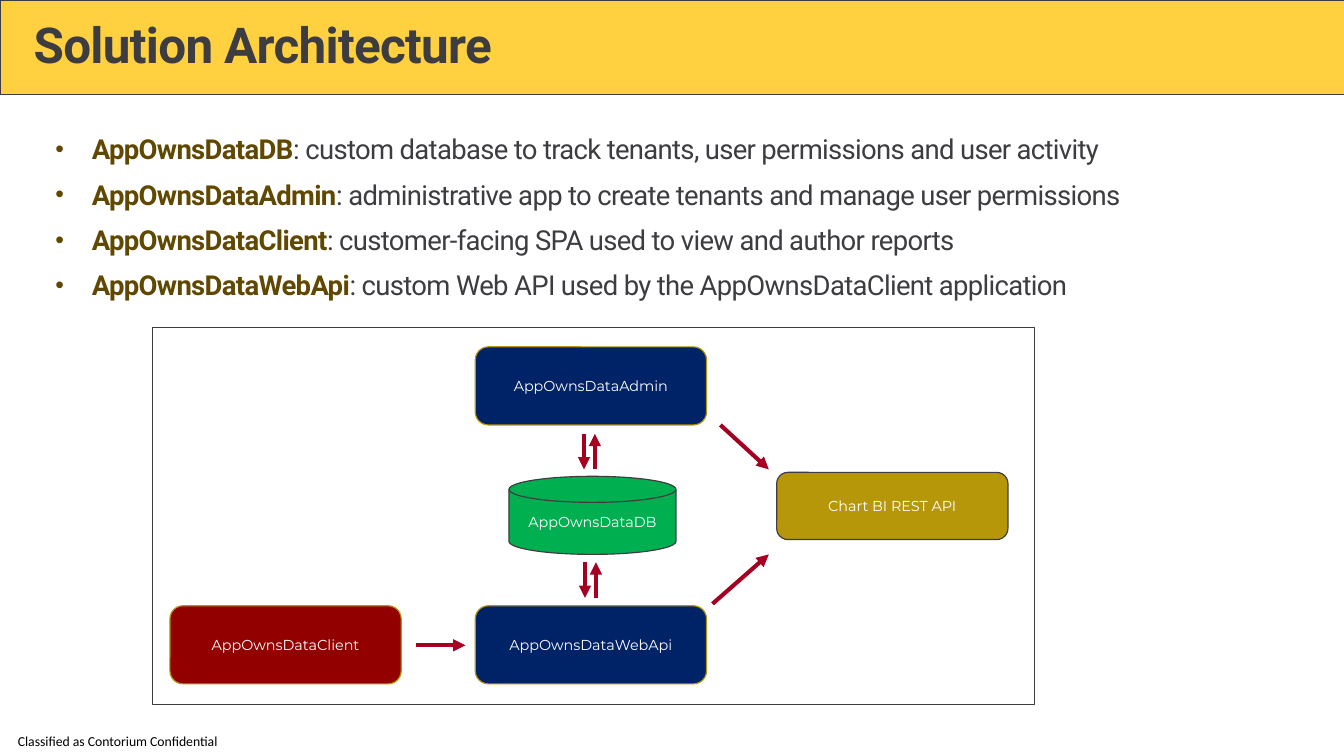
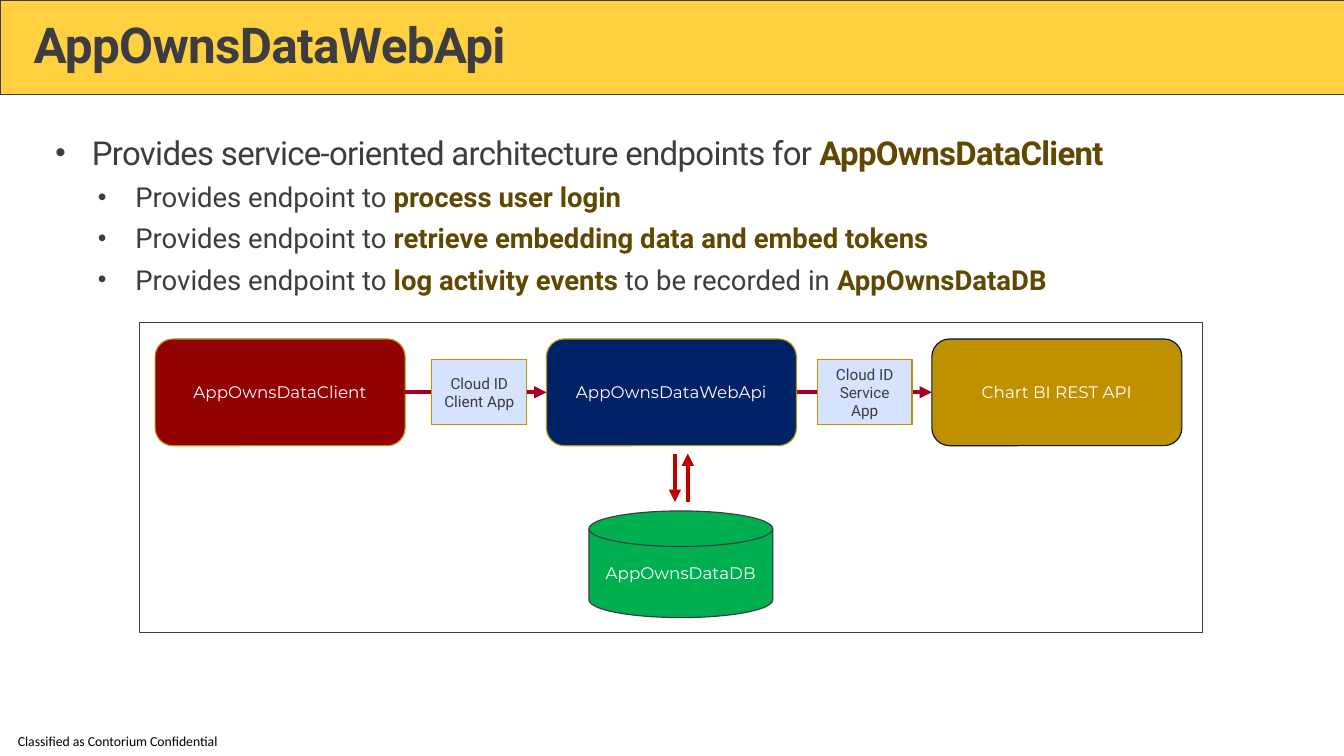
from lxml import etree
from pptx import Presentation
from pptx.dml.color import RGBColor
from pptx.enum.shapes import MSO_CONNECTOR, MSO_SHAPE
from pptx.enum.text import MSO_ANCHOR, PP_ALIGN
from pptx.oxml.ns import qn
from pptx.util import Inches, Pt

RECT = MSO_SHAPE.RECTANGLE
ROUND = MSO_SHAPE.ROUNDED_RECTANGLE
DISK = MSO_SHAPE.FLOWCHART_MAGNETIC_DISK
STRAIGHT = MSO_CONNECTOR.STRAIGHT
TOP, MIDDLE = MSO_ANCHOR.TOP, MSO_ANCHOR.MIDDLE
LEFT, CENTER = PP_ALIGN.LEFT, PP_ALIGN.CENTER
LEFT_SIDE, RIGHT_SIDE = 1, 3

WIDTH, HEIGHT = 13.6, 7.65
INK, STRONG, YELLOW = "3C3C41", "604800", "FFD040"
WHITE, BLACK, GOLD, NAVY_LINE = "FFFFFF", "000000", "B3940B", "001644"
NAVY, MAROON, GREEN, PALE = "002267", "920000", "00B050", "D5E3FF"
CRIMSON, RED = "A50021", "C00000"
HEADING, LABEL, SMALL = "Roboto", "Montserrat", "Calibri"

FOOTER = "Classified as Contorium Confidential"
REST_API = "Chart BI REST API"

# Bullet levels: left margin, hanging indent, space before, letter spacing
LEVELS = [(0.37, -0.37, 3, -0.5), (0.81, -0.38, 0, 0)]

# Bullets: level, size, text with strong words between asterisks
# Nodes: text, geometry, (left, top, width, height), fill, line
# Pairs of opposite arrows: x of the downward one, top, bottom
ARCHITECTURE = {
    "title": "Solution Architecture",
    "bullets": [
        (0, 20, "*AppOwnsDataDB*: custom database to track tenants, user permissions and user activity"),
        (0, 20, "*AppOwnsDataAdmin*: administrative app to create tenants and manage user permissions"),
        (0, 20, "*AppOwnsDataClient*: customer-facing SPA used to view and author reports"),
        (0, 20, "*AppOwnsDataWebApi*: custom Web API used by the AppOwnsDataClient application"),
    ],
    "panel": (1.54, 3.31, 8.93, 3.82),
    "size": 10.5,
    "nodes": [
        ("AppOwnsDataAdmin", ROUND, (4.81, 3.51, 2.34, 0.79), NAVY, GOLD),
        (REST_API, ROUND, (7.86, 4.78, 2.34, 0.68), "B7970A", INK),
        ("AppOwnsDataDB", DISK, (5.15, 4.82, 1.69, 0.79), GREEN, INK),
        ("AppOwnsDataWebApi", ROUND, (4.81, 6.13, 2.34, 0.79), NAVY, GOLD),
        ("AppOwnsDataClient", ROUND, (1.72, 6.13, 2.34, 0.79), MAROON, GOLD),
    ],
    "arrows": [
        (7.29, 4.3, 7.78, 4.75),
        (7.21, 6.11, 7.78, 5.61),
        (4.21, 6.53, 4.71, 6.53),
    ],
    "joins": [],
    "pairs": [(5.91, 4.39, 4.75), (5.92, 5.69, 6.05)],
    "pair_gap": 0.11,
    "pair_colour": CRIMSON,
    "tags": [],
}

WEB_API = {
    "title": "AppOwnsDataWebApi",
    "bullets": [
        (0, 24, "Provides service-oriented architecture endpoints for *AppOwnsDataClient*"),
        (1, 20, "Provides endpoint to *process user login*"),
        (1, 20, "Provides endpoint to *retrieve embedding data and embed tokens*"),
        (1, 20, "Provides endpoint to *log activity events* to be recorded in *AppOwnsDataDB*"),
    ],
    "panel": (1.41, 3.26, 10.76, 3.14),
    "size": 12.2,
    "nodes": [
        (REST_API, ROUND, (9.43, 3.43, 2.53, 1.08), "BF9000", NAVY_LINE),
        ("AppOwnsDataWebApi", ROUND, (5.53, 3.43, 2.53, 1.08), NAVY, GOLD),
        ("AppOwnsDataClient", ROUND, (1.57, 3.43, 2.53, 1.08), MAROON, GOLD),
        ("AppOwnsDataDB", DISK, (5.96, 5.17, 1.86, 1.08), GREEN, INK),
    ],
    "arrows": [],
    "joins": [("AppOwnsDataClient", "AppOwnsDataWebApi"), ("AppOwnsDataWebApi", REST_API)],
    "pairs": [(6.83, 4.59, 5.08)],
    "pair_gap": 0.13,
    "pair_colour": RED,
    "tags": [
        ("Cloud ID Client App", (4.37, 3.64, 0.96, 0.66)),
        ("Cloud ID Service App", (8.27, 3.64, 0.96, 0.66)),
    ],
}


def rgb(colour):
    return RGBColor.from_string(colour)


def inches(values):
    return [Inches(value) for value in values]


def style_span(span, size, face, colour, bold=False, spacing=0):
    font = span.font
    font.size, font.name, font.bold = Pt(size), face, bold
    font.color.rgb = rgb(colour)
    if spacing:
        font._element.set("spc", str(int(spacing * 100)))


def set_frame(frame, anchor, left_inset=0):
    frame.word_wrap = True
    frame.vertical_anchor = anchor
    frame.margin_left = Inches(left_inset)
    frame.margin_top = frame.margin_right = frame.margin_bottom = 0


def add_box(slide, geometry, place, fill, line, line_width=0.85):
    box = slide.shapes.add_shape(geometry, *inches(place))
    box.shadow.inherit = False
    box.fill.solid()
    box.fill.fore_color.rgb = rgb(fill)
    box.line.color.rgb = rgb(line)
    box.line.width = Pt(line_width)
    return box


def add_label(box, text, size, face, colour):
    box.text_frame.text = text
    box.text_frame.word_wrap = True
    box.text_frame.vertical_anchor = MIDDLE
    para = box.text_frame.paragraphs[0]
    para.alignment = CENTER
    style_span(para.runs[0], size, face, colour)


def add_arrow(slide, ends, colour=CRIMSON):
    arrow = slide.shapes.add_connector(STRAIGHT, *inches(ends))
    arrow.line.color.rgb = rgb(colour)
    arrow.line.width = Pt(3)
    etree.SubElement(arrow.line._get_or_add_ln(), qn("a:tailEnd"), type="triangle")
    etree.SubElement(arrow._element.spPr, qn("a:effectLst"))
    return arrow


def move_band_and_footer_to_layout(slide):
    """Draw the shared parts once and hand them to the layout, behind the titles."""
    band = add_box(slide, RECT, (0, 0, WIDTH, 0.96), YELLOW, INK, 0.5)
    footer = slide.shapes.add_textbox(*inches((0, 7.36, 2.32, 0.29)))
    set_frame(footer.text_frame, MIDDLE, 0.18)
    footer.text_frame.text = FOOTER
    para = footer.text_frame.paragraphs[0]
    para.line_spacing = 0.9
    style_span(para.runs[0], 10, SMALL, BLACK)
    for part in (band, footer):
        slide.slide_layout.shapes._spTree.insert(2, part._element)


def set_title(slide, text):
    title = slide.shapes.title
    title.left, title.top, title.width, title.height = inches((0.34, 0.21, 12.91, 0.55))
    set_frame(title.text_frame, TOP)
    title.text_frame.text = text
    para = title.text_frame.paragraphs[0]
    para.alignment, para.line_spacing = LEFT, 0.9
    style_span(para.runs[0], 36, HEADING, INK, True, -0.5)


def add_bullets(slide, bullets):
    frame = slide.shapes.add_textbox(*inches((0.56, 1.34, 12.69, 1.8))).text_frame
    set_frame(frame, TOP)
    for index, (level, size, text) in enumerate(bullets):
        para = frame.add_paragraph() if index else frame.paragraphs[0]
        margin, indent, before, spacing = LEVELS[level]
        para.level = level
        para.space_before, para.space_after = Pt(before), Pt(6)
        properties = para._p.get_or_add_pPr()
        properties.set("marL", str(Inches(margin)))
        properties.set("indent", str(Inches(indent)))
        etree.SubElement(properties, qn("a:buSzPct"), val="90000")
        etree.SubElement(properties, qn("a:buFont"), typeface="Arial")
        etree.SubElement(properties, qn("a:buChar"), char="•")
        for position, piece in enumerate(text.split("*")):
            if piece:
                strong = position % 2 == 1
                span = para.add_run()
                span.text = piece
                style_span(span, size, HEADING, STRONG if strong else INK, strong, spacing)


def add_diagram(slide, content):
    add_box(slide, RECT, content["panel"], WHITE, INK, 0.75)
    boxes = {}
    for text, geometry, place, fill, line in content["nodes"]:
        boxes[text] = add_box(slide, geometry, place, fill, line)
        add_label(boxes[text], text, content["size"], LABEL, WHITE)
    for ends in content["arrows"]:
        add_arrow(slide, ends)
    for start, end in content["joins"]:
        arrow = add_arrow(slide, (0, 0, 1, 1))
        arrow.begin_connect(boxes[start], RIGHT_SIDE)
        arrow.end_connect(boxes[end], LEFT_SIDE)
    for x, top, bottom in content["pairs"]:
        up_x = x + content["pair_gap"]
        add_arrow(slide, (x, top, x, bottom), content["pair_colour"])
        add_arrow(slide, (up_x, bottom, up_x, top), content["pair_colour"])
    for text, place in content["tags"]:
        add_label(add_box(slide, RECT, place, PALE, GOLD), text, 11.2, HEADING, INK)


def main():
    deck = Presentation()
    deck.slide_width, deck.slide_height = inches((WIDTH, HEIGHT))
    title_only = deck.slide_layouts[5]
    for index, content in enumerate((ARCHITECTURE, WEB_API)):
        slide = deck.slides.add_slide(title_only)
        if index == 0:
            move_band_and_footer_to_layout(slide)
        set_title(slide, content["title"])
        add_bullets(slide, content["bullets"])
        add_diagram(slide, content)
    deck.save("out.pptx")


if __name__ == "__main__":
    main()
